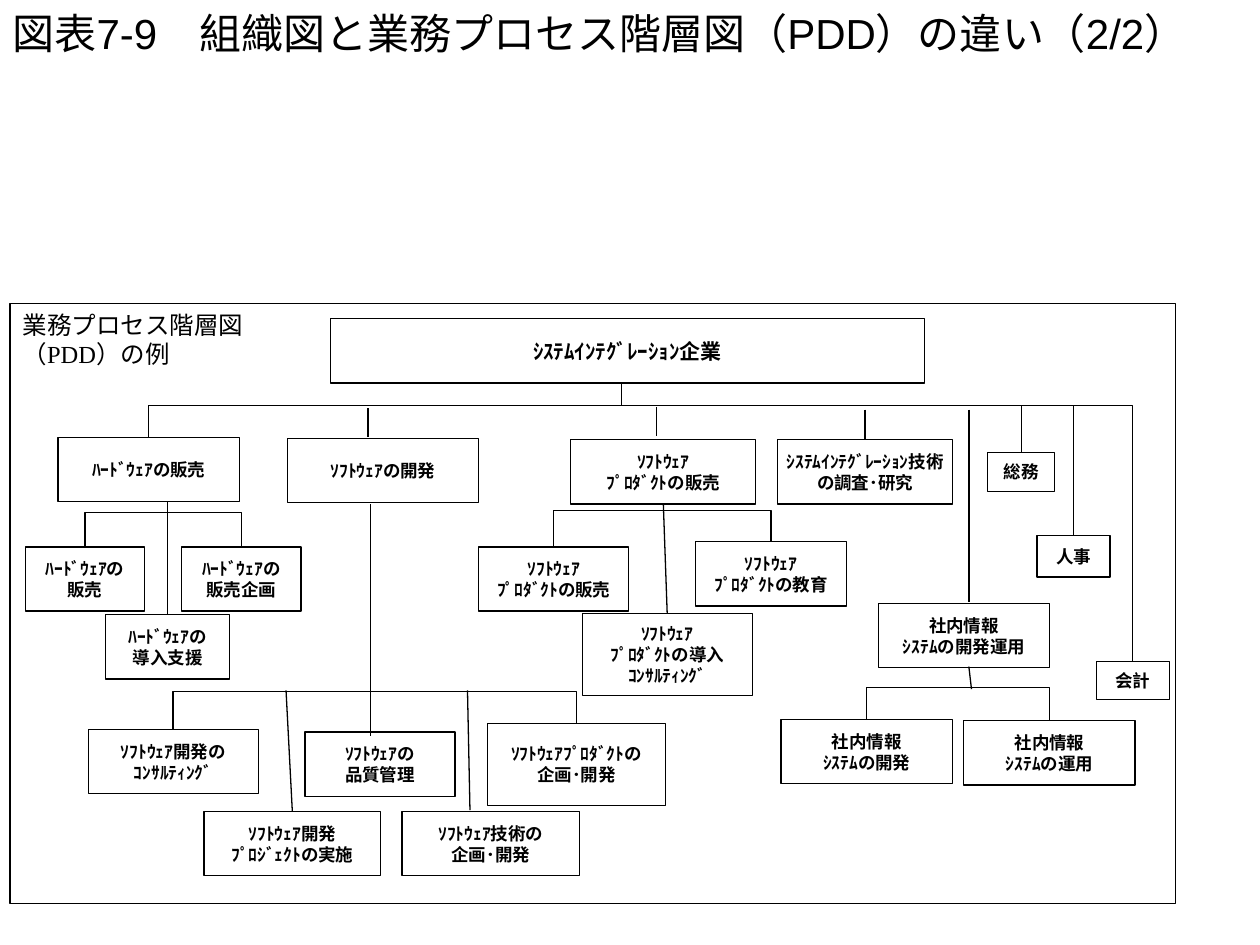
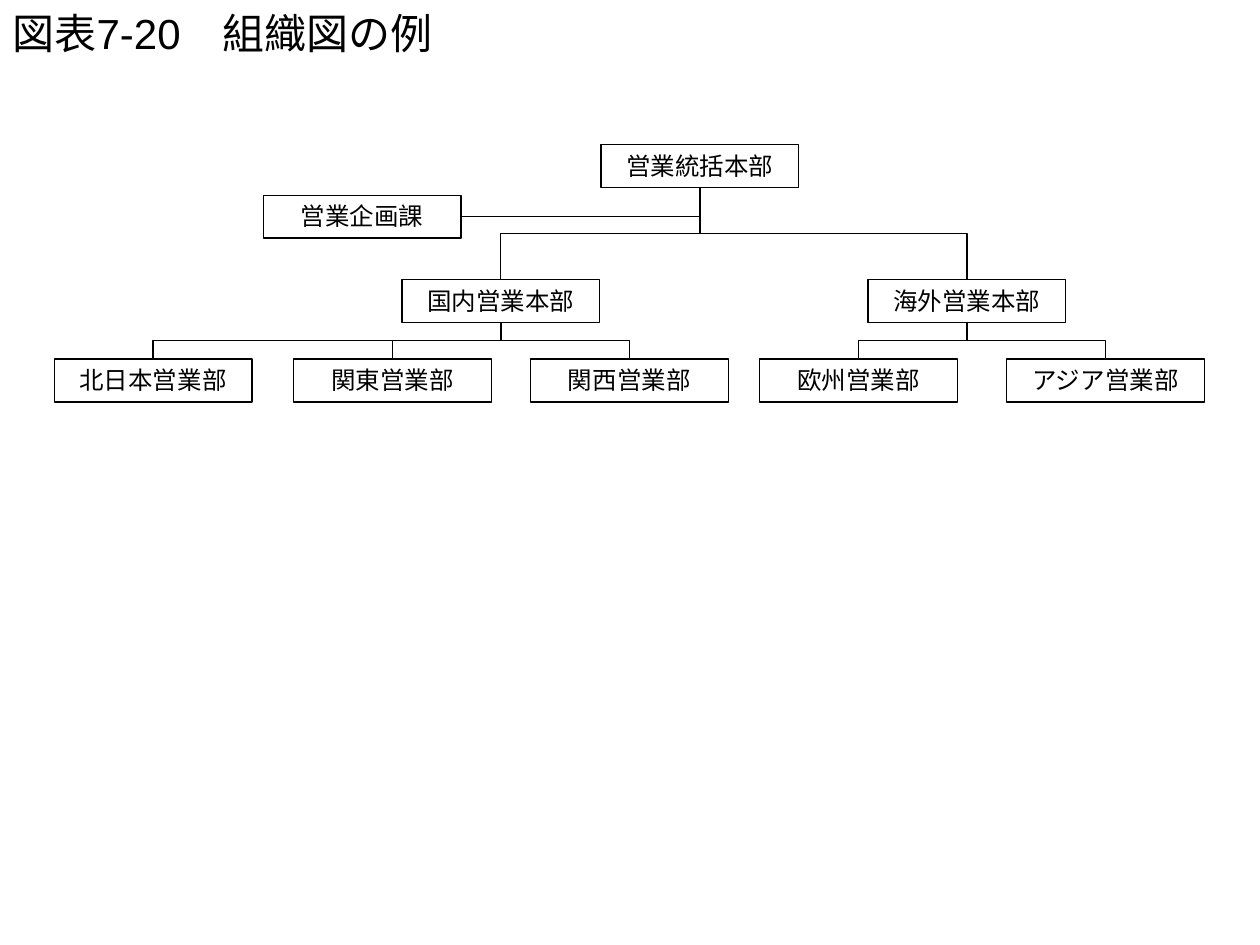
from dataclasses import dataclass

from pptx import Presentation
from pptx.dml.color import RGBColor
from pptx.enum.shapes import MSO_CONNECTOR, MSO_SHAPE
from pptx.enum.text import MSO_ANCHOR, MSO_AUTO_SIZE, PP_ALIGN
from pptx.oxml.ns import qn
from pptx.oxml.xmlchemy import OxmlElement
from pptx.util import Pt

TOP, LEFT, BOTTOM, RIGHT = range(4)


@dataclass(frozen=True)
class Theme:
    ink: RGBColor = RGBColor(0, 0, 0)
    paper: RGBColor = RGBColor(255, 255, 255)
    paper_alpha: int = 50000
    rule: float = 0.75
    sans: str = "Arial"
    serif: str = "Times New Roman"
    title_size: float = 24
    body_size: float = 14
    root_size: float = 12
    process_size: float = 10


THEME = Theme()

# Process boxes, relative to the panel: name -> left, top, width, height, label
PROCESSES = {
    "hardware": (27.4, 76.3, 103.7, 36.7, "ﾊｰﾄﾞｳｪｱの販売"),
    "development": (158.4, 77, 109.4, 36.7, "ｿﾌﾄｳｪｱの開発"),
    "product": (320.4, 77.8, 105.8, 36.7, "ｿﾌﾄｳｪｱ\nﾌﾟﾛﾀﾞｸﾄの販売"),
    "research": (438.5, 77.8, 100.1, 36.7, "ｼｽﾃﾑｲﾝﾃｸﾞﾚｰｼｮﾝ技術の調査･研究"),
    "internal": (496.1, 171.4, 97.9, 36.7, "社内情報\nｼｽﾃﾑの開発運用"),
    "personnel": (586.8, 132.5, 41.8, 23.8, "人事"),
    "general": (558.7, 85, 38.2, 22.3, "総務"),
    "accounting": (620.6, 204.5, 41.8, 21.6, "会計"),
    "hardware sales": (8.6, 139, 68.4, 36.7, "ﾊｰﾄﾞｳｪｱの\n販売"),
    "hardware planning": (97.9, 139, 68.4, 36.7, "ﾊｰﾄﾞｳｪｱの\n販売企画"),
    "hardware support": (54.7, 177.8, 70.6, 36.7, "ﾊｰﾄﾞｳｪｱの\n導入支援"),
    "consulting": (44.6, 243.4, 97.2, 36.7, "ｿﾌﾄｳｪｱ開発の\nｺﾝｻﾙﾃｨﾝｸﾞ"),
    "projects": (110.9, 290.2, 100.8, 36.7, "ｿﾌﾄｳｪｱ開発\nﾌﾟﾛｼﾞｪｸﾄの実施"),
    "quality": (168.5, 244.8, 85.7, 36.7, "ｿﾌﾄｳｪｱの\n品質管理"),
    "product planning": (272.9, 239.8, 101.5, 46.8, "ｿﾌﾄｳｪｱﾌﾟﾛﾀﾞｸﾄの\n企画･開発"),
    "technology": (223.9, 290.2, 101.5, 36.7, "ｿﾌﾄｳｪｱ技術の\n企画･開発"),
    "product sales": (267.8, 139, 85.7, 36.7, "ｿﾌﾄｳｪｱ\nﾌﾟﾛﾀﾞｸﾄの販売"),
    "product education": (391.7, 136.1, 86.4, 36.7, "ｿﾌﾄｳｪｱ\nﾌﾟﾛﾀﾞｸﾄの教育"),
    "product support": (326.9, 177.1, 97.2, 46.8, "ｿﾌﾄｳｪｱ\nﾌﾟﾛﾀﾞｸﾄの導入\nｺﾝｻﾙﾃｨﾝｸﾞ"),
    "system development": (440.6, 237.6, 97.9, 36.7, "社内情報\nｼｽﾃﾑの開発"),
    "system operation": (545, 238.3, 97.9, 36.7, "社内情報\nｼｽﾃﾑの運用"),
}

# Outermost siblings and the height of the bar that spans them
BRACKETS = [
    ("hardware", "accounting", 58.3),
    ("hardware sales", "hardware planning", 121),
    ("consulting", "product planning", 221.8),
    ("product sales", "product education", 118.1),
    ("system development", "system operation", 219.6),
]

# Vertical lines from a bar down to the top of a box
DROPS = [("research", 60.5), ("personnel", 58.3), ("general", 58.3),
         ("hardware support", 113)]

# Free lines: start x, start y, end x, end y
BRANCHES = [
    (349.2, 46.1, 349.2, 58.3),
    (369.4, 59, 369.4, 75.6),
    (204.5, 59.8, 204.5, 76.3),
    (547.9, 60.5, 547.9, 170.6),
    (205.9, 114.5, 205.9, 247),
    (261.4, 221, 262.8, 289.4),
    (547.9, 207.4, 549.4, 220.3),
]

# Departments, relative to the chart: name -> left, top
UNITS = {
    "営業統括本部": (312.5, 0),
    "営業企画課": (119.5, 28.8),
    "国内営業本部": (198.7, 77),
    "海外営業本部": (465.1, 77),
    "北日本営業部": (0, 122.4),
    "関東営業部": (136.8, 122.4),
    "関西営業部": (272.2, 122.4),
    "欧州営業部": (403.2, 122.4),
    "アジア営業部": (544.3, 122.4),
}
REPORTS = {
    "営業統括本部": ["国内営業本部", "海外営業本部"],
    "国内営業本部": ["北日本営業部", "関東営業部", "関西営業部"],
    "海外営業本部": ["欧州営業部", "アジア営業部"],
}


def format_text(frame, size, font, align, bold=False):
    for para in frame.paragraphs:
        para.alignment = align
        for span in para.runs:
            span.font.size = Pt(size)
            span.font.name = font
            span.font.bold = bold
            span.font.color.rgb = THEME.ink


def add_box(slide, left, top, width, height):
    box = slide.shapes.add_shape(
        MSO_SHAPE.RECTANGLE, Pt(left), Pt(top), Pt(width), Pt(height))
    box.shadow.inherit = False
    box.fill.background()
    box.line.color.rgb = THEME.ink
    box.line.width = Pt(THEME.rule)
    return box


def add_process(slide, left, top, width, height, label, size=THEME.process_size):
    box = add_box(slide, left, top, width, height)
    box.fill.solid()
    box.fill.fore_color.rgb = THEME.paper
    alpha = OxmlElement("a:alpha")
    alpha.set("val", str(THEME.paper_alpha))
    box.fill._xPr.find(qn("a:solidFill"))[0].append(alpha)
    frame = box.text_frame
    frame.word_wrap = True
    frame.vertical_anchor = MSO_ANCHOR.MIDDLE
    frame.margin_left = frame.margin_right = Pt(1.4)
    frame.paragraphs[0].text = label
    format_text(frame, size, THEME.sans, PP_ALIGN.CENTER, bold=True)
    return box


def style_connector(connector):
    connector.line.color.rgb = THEME.ink
    connector.line.width = Pt(THEME.rule)
    connector._element.spPr.append(OxmlElement("a:effectLst"))


def add_line(slide, x1, y1, x2, y2, start=None, end=None):
    """Straight line; start joins a box's bottom and end a box's top."""
    line = slide.shapes.add_connector(
        MSO_CONNECTOR.STRAIGHT, Pt(x1), Pt(y1), Pt(x2), Pt(y2))
    if start is not None:
        line.begin_connect(start, BOTTOM)
    if end is not None:
        line.end_connect(end, TOP)
    style_connector(line)


def add_elbow(slide, start, start_site, end, end_site, bar=None, corner=False):
    """Elbow that leaves vertically; bar is the height of its level part."""
    elbow = slide.shapes.add_connector(MSO_CONNECTOR.ELBOW, 0, 0, 0, 0)
    elbow.begin_connect(start, start_site)
    elbow.end_connect(end, end_site)
    x1, y1, x2, y2 = elbow.begin_x, elbow.begin_y, elbow.end_x, elbow.end_y
    run, rise = x2 - x1, (y2 - y1) or Pt(0.13)

    # The preset runs sideways, so its frame is turned a quarter about the centre
    elbow.width, elbow.height = abs(rise), abs(run)
    elbow.left = (x1 + x2 - abs(rise)) // 2
    elbow.top = (y1 + y2 - abs(run)) // 2
    properties = elbow._element.spPr
    frame = properties.find(qn("a:xfrm"))
    for flip in ("flipH", "flipV"):
        frame.attrib.pop(flip, None)
    frame.set("rot", str((90 if rise > 0 else 270) * 60000))
    if (run > 0) == (rise > 0):
        frame.set("flipV", "1")

    geometry = properties.find(qn("a:prstGeom"))
    if corner:
        geometry.set("prst", "bentConnector2")
    elif bar is not None:
        guide = OxmlElement("a:gd")
        guide.set("name", "adj1")
        guide.set("fmla", f"val {round((Pt(bar) - y1) / rise * 100000)}")
        geometry.find(qn("a:avLst")).append(guide)
    style_connector(elbow)


def add_titled_slide(deck, title):
    slide = deck.slides.add_slide(deck.slide_layouts[5])
    holder = slide.shapes.title
    holder.left, holder.top, holder.width, holder.height = 0, 0, Pt(720), Pt(37.5)
    frame = holder.text_frame
    frame.text = title
    frame.auto_size = MSO_AUTO_SIZE.NONE
    frame.vertical_anchor = MSO_ANCHOR.MIDDLE
    format_text(frame, THEME.title_size, THEME.sans, PP_ALIGN.LEFT)
    return slide


def add_process_hierarchy(slide, left, top, width, height):
    panel = add_box(slide, left, top, width, height)
    panel.text_frame.text = "業務プロセス階層図\n（PDD）の例"
    panel.text_frame.vertical_anchor = MSO_ANCHOR.TOP
    format_text(panel.text_frame, THEME.body_size, THEME.serif, PP_ALIGN.LEFT)

    add_process(slide, left + 182.9, top + 8.6, 339.8, 36.7,
                "ｼｽﾃﾑｲﾝﾃｸﾞﾚｰｼｮﾝ企業", THEME.root_size)
    boxes = {name: add_process(slide, left + x, top + y, *rest)
             for name, (x, y, *rest) in PROCESSES.items()}

    for first, last, bar in BRACKETS:
        add_elbow(slide, boxes[first], TOP, boxes[last], TOP, top + bar)
    for name, y in DROPS:
        x, box_top, box_width = PROCESSES[name][:3]
        middle = left + x + box_width / 2
        add_line(slide, middle, top + y, middle, top + box_top, end=boxes[name])
    for x1, y1, x2, y2 in BRANCHES:
        add_line(slide, left + x1, top + y1, left + x2, top + y2)
    add_line(slide, left + 157.7, top + 221, left + 161.3, top + 290.2,
             end=boxes["projects"])
    add_line(slide, left, top, left, top,
             start=boxes["product"], end=boxes["product support"])


def add_organization(slide, left, top, unit_width, unit_height):
    boxes = {}
    for name, (x, y) in UNITS.items():
        box = add_box(slide, left + x, top + y, unit_width, unit_height)
        frame = box.text_frame
        frame.text = name
        frame.word_wrap = False
        frame.vertical_anchor = MSO_ANCHOR.TOP
        format_text(frame, THEME.body_size, THEME.serif, PP_ALIGN.CENTER)
        boxes[name] = box

    add_elbow(slide, boxes["営業統括本部"], BOTTOM, boxes["営業企画課"], RIGHT,
              corner=True)
    for parent, children in REPORTS.items():
        for child in children:
            add_elbow(slide, boxes[parent], BOTTOM, boxes[child], TOP)


def main():
    deck = Presentation()
    deck.slide_width, deck.slide_height = Pt(720), Pt(540)
    processes = add_titled_slide(
        deck, "図表7-9　組織図と業務プロセス階層図（PDD）の違い（2/2）")
    add_process_hierarchy(processes, 5.76, 173.52, 666, 342.7)
    organization = add_titled_slide(deck, "図表7-20　組織図の例")
    add_organization(organization, 31, 82.8, 113, 24.5)
    deck.save("out.pptx")


if __name__ == "__main__":
    main()
